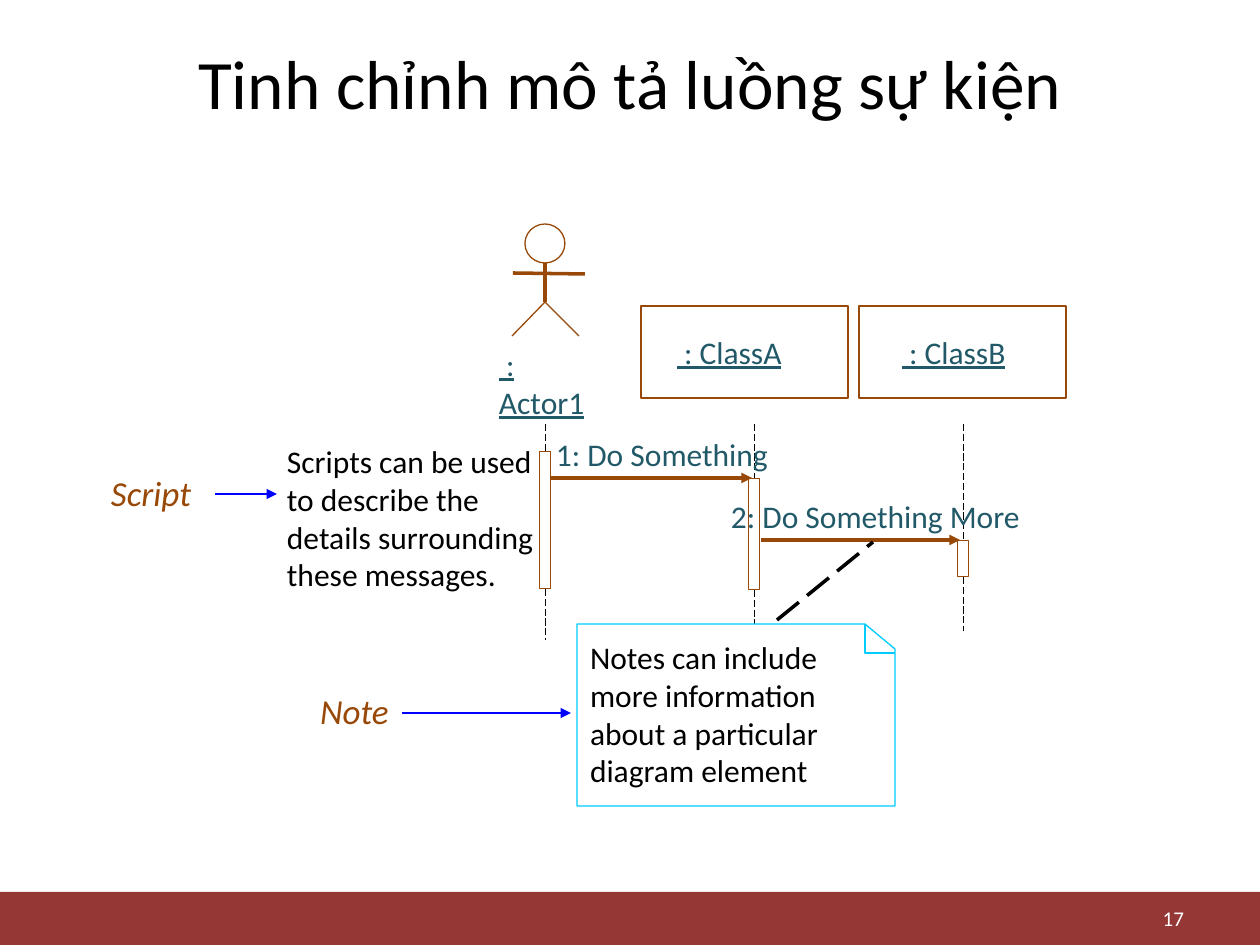
from lxml import etree
from pptx import Presentation
from pptx.dml.color import RGBColor
from pptx.enum.dml import MSO_LINE
from pptx.enum.shapes import MSO_CONNECTOR as Connector, MSO_SHAPE as Shape
from pptx.enum.text import MSO_ANCHOR as Anchor, MSO_AUTO_SIZE as AutoSize, PP_ALIGN as Align
from pptx.oxml.ns import qn
from pptx.util import Emu, Pt

BLACK = RGBColor(0x00, 0x00, 0x00)
WHITE = RGBColor(0xFF, 0xFF, 0xFF)
MAROON = RGBColor(0x95, 0x37, 0x35)
BROWN = RGBColor(0x98, 0x48, 0x07)
TEAL = RGBColor(0x21, 0x59, 0x68)
BLUE = RGBColor(0x00, 0x00, 0xFF)
CYAN = RGBColor(0x00, 0xCC, 0xFF)
PIXELS_PER_INCH = 126


def px(length):
    return Emu(round(length * 914400 / PIXELS_PER_INCH))


class Diagram:
    font = "Calibri"

    def __init__(self, slide):
        self.shapes = slide.shapes

    def outline(self, shape, color, width):
        shape.fill.background()
        shape.line.color.rgb = color
        shape.line.width = Pt(width)
        shape.shadow.inherit = False

    def box(self, left, top, width, height, color=BROWN, line=0, kind=Shape.RECTANGLE):
        shape = self.shapes.add_shape(kind, px(left), px(top), px(width), px(height))
        self.outline(shape, color, line)
        return shape

    def band(self, left, top, width, height, color):
        shape = self.box(left, top, width, height)
        shape.fill.solid()
        shape.fill.fore_color.rgb = color
        shape.line.fill.background()

    def path_line(self, points, color):
        start, *rest = [(px(x), px(y)) for x, y in points]
        builder = self.shapes.build_freeform(*start)
        builder.add_line_segments(rest, close=points[0] == points[-1])
        self.outline(builder.convert_to_shape(), color, 0)

    def line(self, x1, y1, x2, y2, color=BROWN, width=0, dashed=False, arrow=False):
        connector = self.shapes.add_connector(
            Connector.STRAIGHT, px(x1), px(y1), px(x2), px(y2))
        connector.line.color.rgb = color
        connector.line.width = Pt(width)
        if dashed:
            connector.line.dash_style = MSO_LINE.LONG_DASH
        properties = connector._element.spPr
        if arrow:
            etree.SubElement(properties.find(qn("a:ln")), qn("a:tailEnd"), type="triangle")
        etree.SubElement(properties, qn("a:effectLst"))

    def text(self, content, left, top, width, height, color=BLACK, size=18, wrap=False,
             underline=None, italic=None, align=Align.LEFT, anchor=Anchor.TOP,
             inset=(0, 0), grow=True):
        shape = self.shapes.add_textbox(px(left), px(top), px(width), px(height))
        frame = shape.text_frame
        frame.word_wrap = wrap
        frame.auto_size = AutoSize.SHAPE_TO_FIT_TEXT if grow else AutoSize.NONE
        frame.vertical_anchor = anchor
        frame.margin_left = frame.margin_right = px(inset[0])
        frame.margin_top = frame.margin_bottom = px(inset[1])
        paragraph = frame.paragraphs[0]
        paragraph.text = content
        paragraph.alignment = align
        font = paragraph.font
        font.name, font.size, font.color.rgb = self.font, Pt(size), color
        font.underline, font.italic = underline, italic

    def actor(self, center, top):
        self.box(center - 20, top, 40, 39, kind=Shape.OVAL)
        self.line(center, top + 39, center, top + 78)
        self.line(center - 32, top + 49, center + 40, top + 50)
        self.path_line([(center - 33, top + 112), (center, top + 78),
                        (center + 34, top + 112)], BROWN)

    def note(self, left, top, right, bottom, fold_width, crease, fold_height):
        fold = right - fold_width
        self.path_line([(left, top), (fold, top), (right, top + crease),
                        (right, bottom), (left, bottom), (left, top)], CYAN)
        self.path_line([(fold, top), (fold, top + fold_height),
                        (right, top + fold_height)], CYAN)

    def lifeline(self, center, top, active_top, active_bottom, bottom):
        self.line(center, top, center, active_top, BLACK, 0.5, dashed=True)
        self.box(center - 6, active_top, 12, active_bottom - active_top, line=0.5)
        self.line(center, active_bottom, center, bottom, BLACK, 0.5, dashed=True)

    def callout(self, label, left, top, width, arrow_start, arrow_end, arrow_y):
        self.text(label, left, top, width, 54, BROWN, 20, wrap=True, italic=True,
                  inset=(13, 6))
        self.line(arrow_start, arrow_y, arrow_end, arrow_y, BLUE, 1.5, arrow=True)


def main():
    presentation = Presentation()
    presentation.slide_width = px(1260)
    presentation.slide_height = px(945)
    diagram = Diagram(presentation.slides.add_slide(presentation.slide_layouts[6]))

    diagram.band(0, 892, 1260, 53, MAROON)
    diagram.text("Tinh chỉnh mô tả luồng sự kiện", 63, 38, 1134, 88, size=39.6, wrap=True,
                 align=Align.CENTER, anchor=Anchor.MIDDLE, inset=(13, 6), grow=False)
    diagram.text("17", 903, 901, 294, 34, WHITE, 12, wrap=True, align=Align.RIGHT,
                 anchor=Anchor.MIDDLE, inset=(13, 6), grow=False)

    diagram.actor(545, 224)
    for left in (641, 859):
        diagram.box(left, 306, 207, 92)
    for name, left, top, width in [(" : Actor1", 499, 345, 107),
                                   (" : ClassA", 677, 333, 106),
                                   (" : ClassB", 902, 333, 105)]:
        diagram.text(name, left, top, width, 38, TEAL, underline=True)

    for center, active_top, active_bottom, bottom in [(545, 451, 589, 640),
                                                       (754, 478, 590, 624),
                                                       (963, 540, 577, 631)]:
        diagram.lifeline(center, 424, active_top, active_bottom, bottom)

    for message, left, top, width, start, end, y in [
            ("1: Do Something", 556, 435, 214, 551, 752, 478),
            ("2: Do Something More", 731, 497, 292, 761, 960, 540)]:
        diagram.text(message, left, top, width, 38, TEAL)
        diagram.line(start, y, end, y, arrow=True)

    diagram.text("Scripts can be used to describe the details surrounding these messages.",
                 287, 442, 250, 189, wrap=True)
    diagram.note(577, 624, 895, 806, fold_width=30, crease=25, fold_height=29)
    diagram.text("Notes can include more information about a particular diagram element",
                 590, 638, 281, 151, wrap=True)
    diagram.line(777, 620, 873, 542, BLACK, dashed=True)

    diagram.callout("Script", 98, 465, 126, 215, 277, 494)
    diagram.callout("Note", 307, 683, 105, 402, 571, 713)

    presentation.save("out.pptx")


if __name__ == "__main__":
    main()
